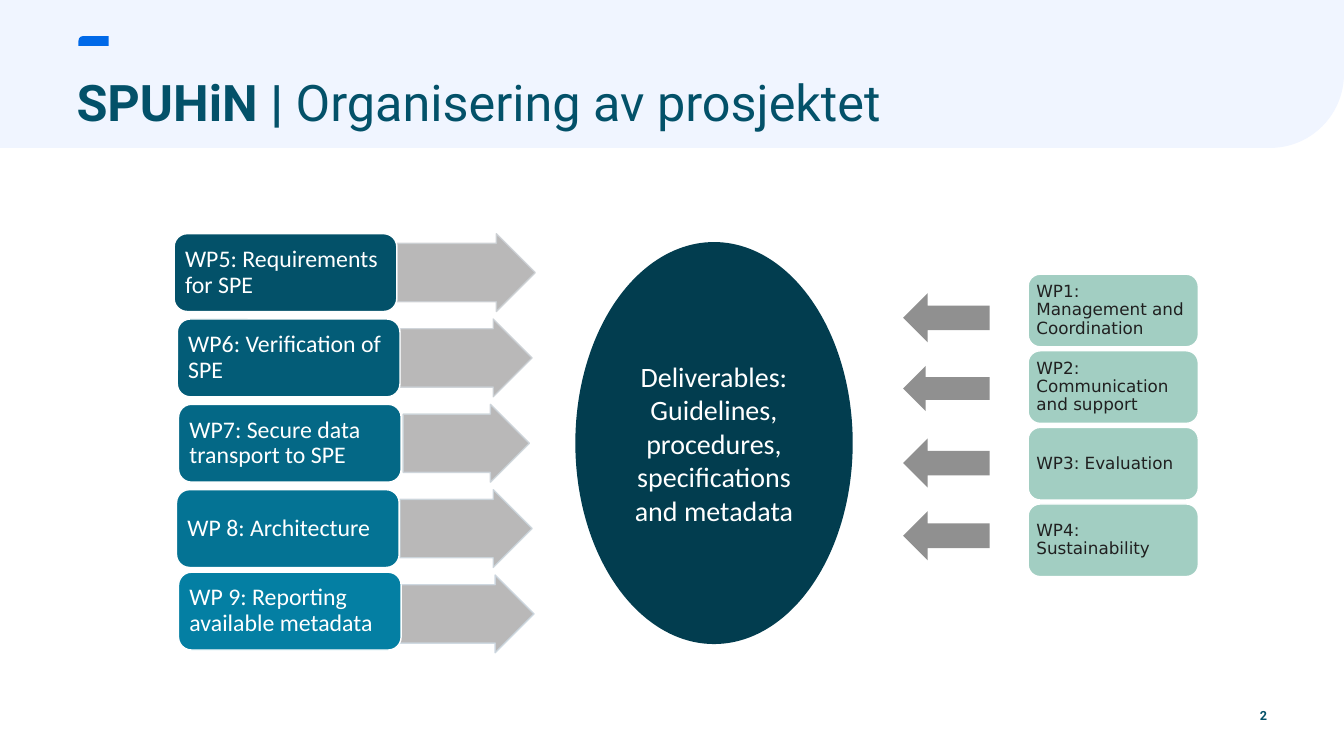
from lxml import etree
from pptx import Presentation
from pptx.dml.color import RGBColor
from pptx.enum.shapes import MSO_SHAPE as Shape
from pptx.enum.text import MSO_ANCHOR as Anchor, PP_ALIGN as Align
from pptx.oxml.ns import qn
from pptx.util import Cm, Pt

TEAL = "035169"
WHITE = "FFFFFF"


def draw(kind, x, y, w, h, fill, line=None):
    """Add a flat preset shape; lengths are in centimetres."""
    shape = slide.shapes.add_shape(kind, Cm(x), Cm(y), Cm(w), Cm(h))
    shape.shadow.inherit = False
    shape.fill.solid()
    shape.fill.fore_color.rgb = RGBColor.from_string(fill)
    if line:
        shape.line.color.rgb = RGBColor.from_string(line)
        shape.line.width = Pt(1)
    else:
        shape.line.fill.background()
    return shape


def write(shape, text, font, size, color, align=Align.LEFT, space=None, inset=None):
    """Fill a shape with text; inset is (side, top) in centimetres."""
    frame = shape.text_frame
    frame.word_wrap = True
    frame.vertical_anchor = Anchor.MIDDLE
    if inset:
        frame.margin_left = frame.margin_right = Cm(inset[0])
        frame.margin_top = frame.margin_bottom = Cm(inset[1])
    frame.text = text
    for para in frame.paragraphs:
        para.alignment = align
        para.line_spacing = space
        para.font.name = font
        para.font.size = Pt(size)
        para.font.color.rgb = RGBColor.from_string(color)
    return frame


prs = Presentation()
prs.slide_width, prs.slide_height = Cm(33.87), Cm(19.05)
slide = prs.slides.add_slide(prs.slide_layouts[6])

# Header band, accent and title
band = draw(Shape.ROUND_1_RECTANGLE, 0, 0, 33.87, 3.73, "F0F5FF")
band.adjustments[0] = 0.5
band.element.spPr.find(qn("a:xfrm")).set("flipV", "1")
accent = draw(Shape.ROUND_1_RECTANGLE, 1.98, 0.91, 0.76, 0.25, "0069E8")
accent.adjustments[0] = 0.45
accent.element.spPr.find(qn("a:xfrm")).set("flipH", "1")

title = slide.shapes.add_textbox(Cm(1.93), Cm(1.73), Cm(30), Cm(1.93))
frame = write(title, "SPUHiN | ", "Roboto", 36, TEAL, space=0.8, inset=(0, 0))
frame.paragraphs[0].runs[0].font.bold = True
frame.paragraphs[0].add_run().text = "Organisering av prosjektet"

number = slide.shapes.add_textbox(Cm(28.93), Cm(17.53), Cm(3), Cm(0.69))
frame = write(number, "2", "Roboto", 9, TEAL, Align.RIGHT, inset=(0, 0))
frame.vertical_anchor = Anchor.BOTTOM
frame.paragraphs[0].runs[0].font.bold = True

# Technical work packages: text, box left, box shift, box fill,
# arrow left, arrow width, arrow line
tasks = [
    ("WP5: Requirements for SPE", 4.39, 0, TEAL, 10.01, 3.48, "CCD0D4"),
    ("WP6: Verification of SPE", 4.47, 0, "035C77", 10.08, 3.33, "CCD2D7"),
    ("WP7: Secure data transport to SPE", 4.5, 0, "046886", 10.16, 3.18, "CCD4DA"),
    ("WP 8: Architecture", 4.45, 0, "047394", 10.08, 3.33, "CCD6DD"),
    ("WP 9: Reporting available metadata", 4.5, -0.07, "047FA3", 10.08, 3.38, "CCD7E0"),
]
for i, (text, left, shift, fill, start, width, edge) in enumerate(tasks):
    top = 5.89 + 2.15 * i
    arrow = draw(Shape.RIGHT_ARROW, start, top, width, 1.96, "B9B8B8", edge)
    arrow.adjustments[0] = 0.75
    tint = arrow.element.spPr.find(qn("a:ln")).find(".//" + qn("a:srgbClr"))
    etree.SubElement(tint, qn("a:alpha")).set("val", "90000")
    box = draw(Shape.ROUNDED_RECTANGLE, left, top + shift, 5.61, 1.96, fill, WHITE)
    write(box, text, "Calibri", 17, WHITE, space=0.9, inset=(0.18, 0.1))

# Supporting work packages
support = [
    "WP1: Management and Coordination",
    "WP2: Communication and support",
    "WP3: Evaluation",
    "WP4: Sustainability",
]
for i, text in enumerate(support):
    box = draw(Shape.ROUNDED_RECTANGLE, 25.91, 6.91 + 1.93 * i, 4.29, 1.83, "A2CEC2", WHITE)
    write(box, text, "DejaVu Sans", 12, "202020", space=0.9, inset=(0.12, 0.12))

# Shared result and the arrows that point at it
goal = draw(Shape.OVAL, 14.5, 6.1, 6.99, 10.13, "023D4F")
write(goal, "Deliverables:\nGuidelines, procedures, specifications and metadata",
      "Calibri", 20, WHITE, Align.CENTER)
for i, height in enumerate([1.24, 1.14, 1.24, 1.24]):
    draw(Shape.LEFT_ARROW, 22.76, 7.39 + 1.83 * i, 2.18, height, "909090")

prs.save("out.pptx")
